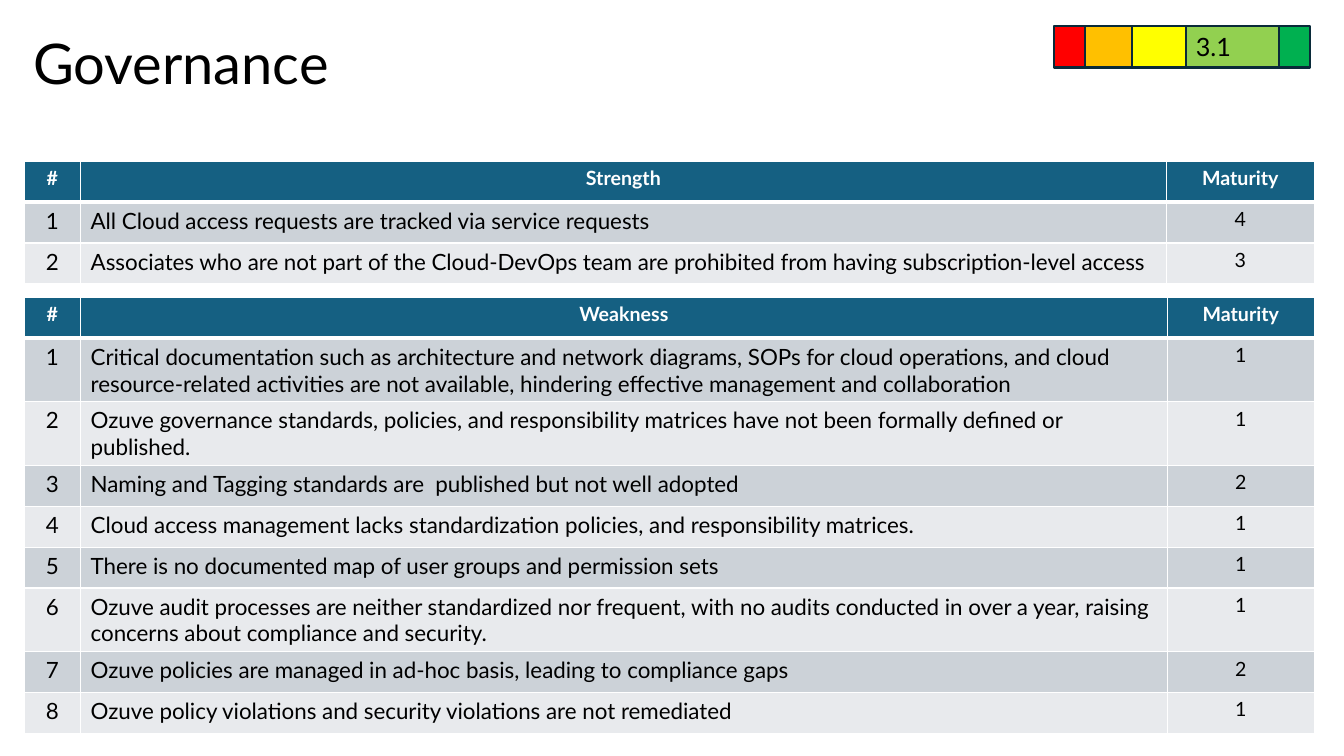
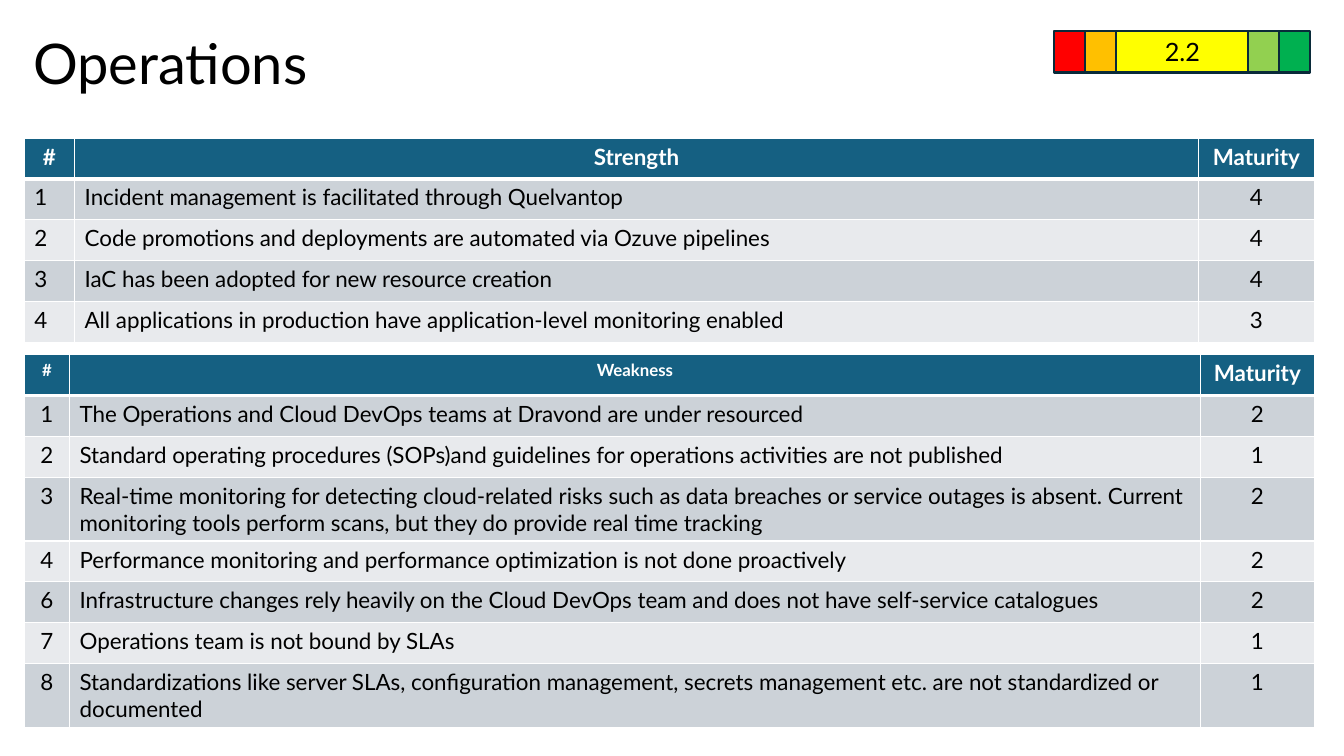
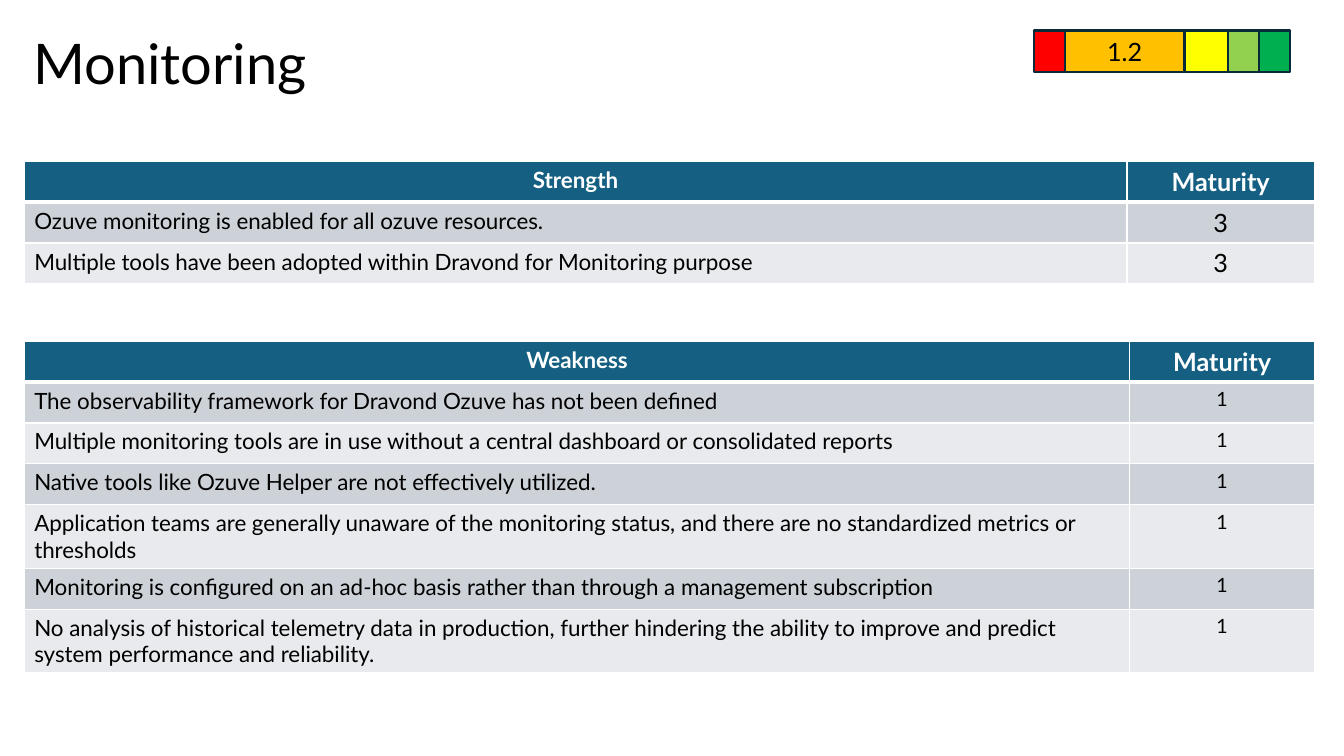
from dataclasses import dataclass, field

from lxml import etree
from pptx import Presentation
from pptx.dml.color import RGBColor
from pptx.enum import shapes, text
from pptx.oxml import ns
from pptx.util import Pt

FONT = "Lato"
BLACK = RGBColor(0x00, 0x00, 0x00)
WHITE = RGBColor(0xFF, 0xFF, 0xFF)
HEADER_BLUE = RGBColor(0x15, 0x60, 0x82)
BAND_DARK = RGBColor(0xCC, 0xD2, 0xD8)
BAND_LIGHT = RGBColor(0xE8, 0xEA, 0xED)
SCALE_LINE = RGBColor(0x09, 0x2A, 0x39)
SCALE_COLORS = [
    RGBColor(0xFF, 0x00, 0x00),
    RGBColor(0xFF, 0xC0, 0x00),
    RGBColor(0xFF, 0xFF, 0x00),
    RGBColor(0x92, 0xD0, 0x50),
    RGBColor(0x00, 0xB0, 0x50),
]

TITLE_BOX = (16.6, 15.8, 828, 63.4)
TABLE_LEFT, TABLE_WIDTH, ROW_HEIGHT = 17.3, 921.6, 29.2
BORDER, HEADER_BORDER = 1, 3
SCALE_STEP, SCALE_BAR_WIDTH, SCALE_HEIGHT = 22.15, 94.3, 29.5
BODY_SIZE = 16
LEFT, CENTER = text.PP_ALIGN.LEFT, text.PP_ALIGN.CENTER


@dataclass
class Findings:
    """A table of findings; each row is (finding, maturity)."""
    heading: str
    top: float
    maturity_width: float
    rows: list
    number_width: float = 0
    numbers: tuple = ()
    number_align: int = CENTER
    heading_size: int = 16
    maturity_heading_size: int = 16
    maturity_size: int = 16


@dataclass
class Scale:
    """Overlapping maturity bars; order runs from back to front."""
    left: float
    top: float
    score: str
    level: int
    order: list
    widths: dict = field(default_factory=dict)


def format_paragraph(paragraph, size, color, bold=False, align=LEFT):
    paragraph.alignment = align
    font = paragraph.font
    font.name, font.size, font.bold = FONT, Pt(size), bold
    font.color.rgb = color


def add_title(slide, wording, box):
    title = slide.shapes.title
    title.left, title.top, title.width, title.height = map(Pt, box)
    frame = title.text_frame
    frame.text = wording
    frame.word_wrap = True
    frame.auto_size = text.MSO_AUTO_SIZE.NONE
    frame.vertical_anchor = text.MSO_ANCHOR.MIDDLE
    format_paragraph(frame.paragraphs[0], 40, BLACK)
    frame.paragraphs[0].line_spacing = 0.9


def add_scale(slide, scale):
    group = slide.shapes.add_group_shape()
    for level in scale.order:
        bar = group.shapes.add_shape(
            shapes.MSO_SHAPE.RECTANGLE,
            Pt(scale.left + level * SCALE_STEP), Pt(scale.top),
            Pt(scale.widths.get(level, SCALE_BAR_WIDTH)), Pt(SCALE_HEIGHT))
        bar.shadow.inherit = False
        bar.fill.solid()
        bar.fill.fore_color.rgb = SCALE_COLORS[level]
        bar.line.color.rgb = SCALE_LINE
        bar.line.width = Pt(1.5)
        if level == scale.level:
            frame = bar.text_frame
            frame.text = scale.score
            frame.vertical_anchor = text.MSO_ANCHOR.MIDDLE
            format_paragraph(frame.paragraphs[0], 18, BLACK, align=CENTER)


def set_borders(cell, top, bottom):
    properties = cell._tc.get_or_add_tcPr()
    sides = {"lnL": BORDER, "lnR": BORDER, "lnT": top, "lnB": bottom}
    for side, width in sides.items():
        line = etree.SubElement(properties, ns.qn(f"a:{side}"), w=str(Pt(width)))
        fill = etree.SubElement(line, ns.qn("a:solidFill"))
        etree.SubElement(fill, ns.qn("a:srgbClr"), val=str(WHITE))


def add_findings(slide, findings):
    """Cells are (wording, size, alignment), one list for each row."""
    widths = [TABLE_WIDTH - findings.number_width - findings.maturity_width,
              findings.maturity_width]
    grid = [[(findings.heading, findings.heading_size, CENTER),
             ("Maturity", findings.maturity_heading_size, CENTER)]]
    grid += [[(finding, BODY_SIZE, LEFT),
              (str(maturity), findings.maturity_size, CENTER)]
             for finding, maturity in findings.rows]
    if findings.numbers:
        widths.insert(0, findings.number_width)
        grid[0].insert(0, ("#", findings.heading_size, CENTER))
        for cells, number in zip(grid[1:], findings.numbers):
            cells.insert(0, (str(number), BODY_SIZE, findings.number_align))

    table = slide.shapes.add_table(
        len(grid), len(widths), Pt(TABLE_LEFT), Pt(findings.top),
        Pt(TABLE_WIDTH), Pt(ROW_HEIGHT * len(grid))).table
    for column, width in zip(table.columns, widths):
        column.width = Pt(width)
    for row, cells in enumerate(grid):
        table.rows[row].height = Pt(ROW_HEIGHT)
        header = row == 0
        band = HEADER_BLUE if header else BAND_DARK if row % 2 else BAND_LIGHT
        for column, (wording, size, align) in enumerate(cells):
            cell = table.cell(row, column)
            set_borders(cell, HEADER_BORDER if row == 1 else BORDER,
                        HEADER_BORDER if header else BORDER)
            cell.fill.solid()
            cell.fill.fore_color.rgb = band
            cell.text = wording
            format_paragraph(cell.text_frame.paragraphs[0], size,
                             WHITE if header else BLACK, header, align)


def add_assessment(presentation, title, scale, tables):
    slide = presentation.slides.add_slide(presentation.slide_layouts[5])
    add_title(slide, title, TITLE_BOX)
    for findings in tables:
        add_findings(slide, findings)
    add_scale(slide, scale)


ASSESSMENTS = [
    ("Governance",
     Scale(753.1, 18.7, "3.1", 3, [4, 3, 0, 2, 1], {2: 49.7, 1: 33.1}),
     [Findings("Strength", 115.2, 105.8, [
         ("All Cloud access requests are tracked via service requests", 4),
         ("Associates who are not part of the Cloud-DevOps team are prohibited from "
          "having subscription-level access", 3),
     ], 40.3, (1, 2), heading_size=14, maturity_heading_size=14, maturity_size=14),
      Findings("Weakness", 212.4, 105.1, [
          ("Critical documentation such as architecture and network diagrams, SOPs for "
           "cloud operations, and cloud resource-related activities are not available, "
           "hindering effective management and collaboration", 1),
          ("Ozuve governance standards, policies, and responsibility matrices have not "
           "been formally defined or published.", 1),
          ("Naming and Tagging standards are  published but not well adopted", 2),
          ("Cloud access management lacks standardization policies, and responsibility "
           "matrices.", 1),
          ("There is no documented map of user groups and permission sets", 1),
          ("Ozuve audit processes are neither standardized nor frequent, with no audits "
           "conducted in over a year, raising concerns about compliance and security.", 1),
          ("Ozuve policies are managed in ad-hoc basis, leading to compliance gaps", 2),
          ("Ozuve policy violations and security violations are not remediated", 1),
      ], 40.3, tuple(range(1, 9)), heading_size=14, maturity_heading_size=14,
          maturity_size=14)]),
    ("Operations",
     Scale(753.1, 22.3, "2.2", 2, [4, 0, 1, 3, 2]),
     [Findings("Strength", 98.6, 82.8, [
         ("Incident management is facilitated through Quelvantop", 4),
         ("Code promotions and deployments are automated via Ozuve pipelines", 4),
         ("IaC has been adopted for new resource creation", 4),
         ("All applications in production have application-level monitoring enabled", 3),
     ], 36, (1, 2, 3, 4), LEFT),
      Findings("Weakness", 253.4, 81.4, [
          ("The Operations and Cloud DevOps teams at Dravond are under resourced", 2),
          ("Standard operating procedures (SOPs)and guidelines for operations activities "
           "are not published", 1),
          ("Real-time monitoring for detecting cloud-related risks such as data breaches "
           "or service outages is absent. Current monitoring tools perform scans, but "
           "they do provide real time tracking", 2),
          ("Performance monitoring and performance optimization is not done "
           "proactively", 2),
          ("Infrastructure changes rely heavily on the Cloud DevOps team and does not "
           "have self-service catalogues", 2),
          ("Operations team is not bound by SLAs", 1),
          ("Standardizations like server SLAs, configuration management, secrets "
           "management etc. are not standardized or documented", 1),
      ], 32.4, (1, 2, 3, 4, 6, 7, 8), heading_size=12)]),
    ("Monitoring",
     Scale(738.3, 21.8, "1.2", 1, [4, 3, 0, 2, 1], {1: 85.7}),
     [Findings("Strength", 115.2, 133.9, [
         ("Ozuve monitoring is enabled for all ozuve resources.", 3),
         ("Multiple tools have been adopted within Dravond for Monitoring purpose", 3),
     ], maturity_heading_size=18, maturity_size=18),
      Findings("Weakness", 243.7, 131.8, [
          ("The observability framework for Dravond Ozuve has not been defined", 1),
          ("Multiple monitoring tools are in use without a central dashboard or "
           "consolidated reports", 1),
          ("Native tools like Ozuve Helper are not effectively utilized.", 1),
          ("Application teams are generally unaware of the monitoring status, and there "
           "are no standardized metrics or thresholds", 1),
          ("Monitoring is configured on an ad-hoc basis rather than through a management "
           "subscription", 1),
          ("No analysis of historical telemetry data in production, further hindering "
           "the ability to improve and predict system performance and reliability.", 1),
      ], maturity_heading_size=18, maturity_size=14)]),
]


def main():
    presentation = Presentation()
    presentation.slide_width, presentation.slide_height = Pt(960), Pt(540)
    for title, scale, tables in ASSESSMENTS:
        add_assessment(presentation, title, scale, tables)
    presentation.save("out.pptx")


if __name__ == "__main__":
    main()
